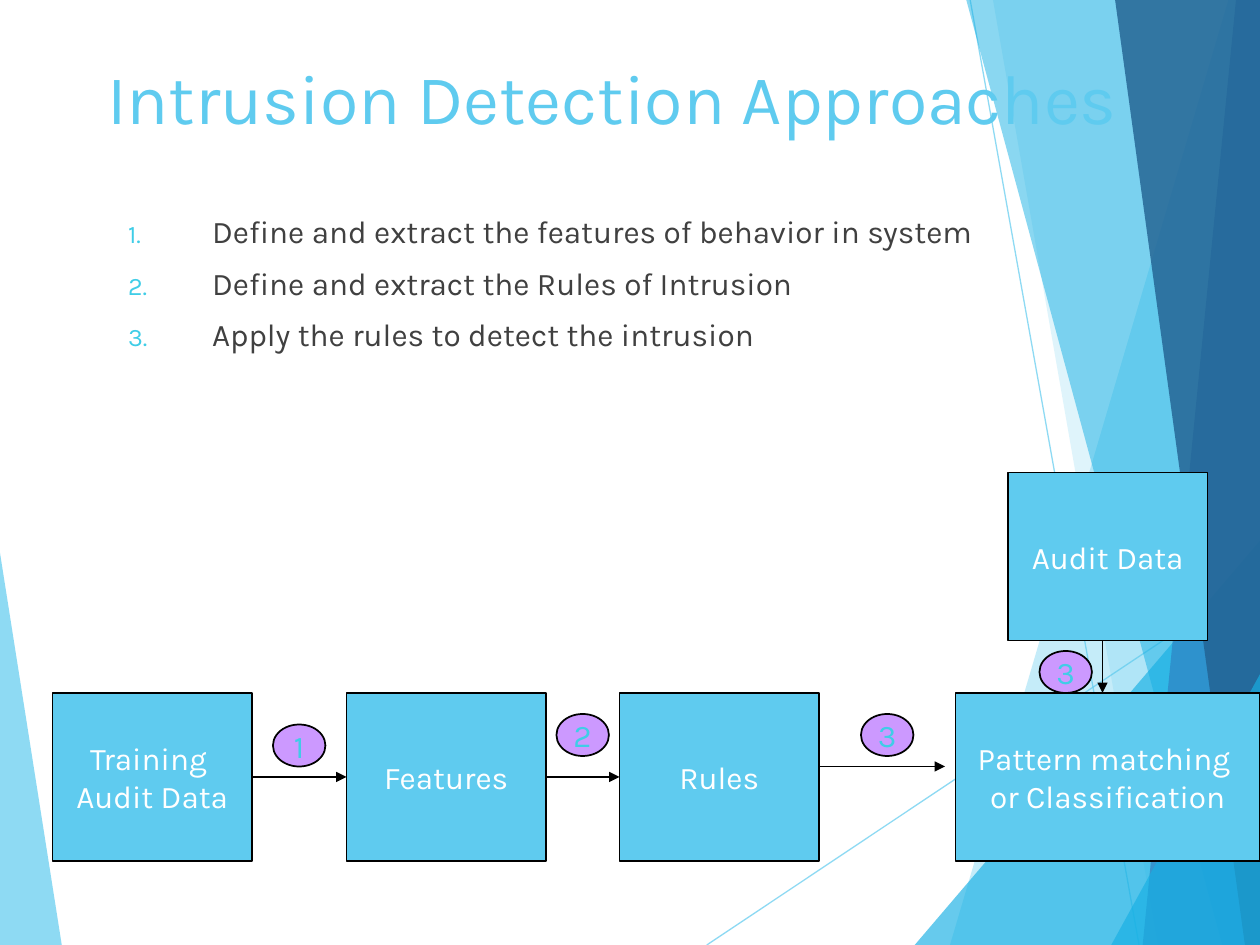
from lxml import etree
from pptx import Presentation
from pptx.dml.color import RGBColor
from pptx.enum.shapes import MSO_CONNECTOR, MSO_SHAPE
from pptx.enum.text import MSO_ANCHOR, MSO_AUTO_SIZE, PP_ALIGN
from pptx.oxml.ns import qn
from pptx.util import Pt

STRAIGHT = MSO_CONNECTOR.STRAIGHT
RECTANGLE, OVAL = MSO_SHAPE.RECTANGLE, MSO_SHAPE.OVAL
TOP, MIDDLE = MSO_ANCHOR.TOP, MSO_ANCHOR.MIDDLE
LEFT, CENTER = PP_ALIGN.LEFT, PP_ALIGN.CENTER

SKY = RGBColor(0x5F, 0xCB, 0xEF)
CYAN = RGBColor(0x17, 0xB0, 0xE4)
BLUE = RGBColor(0x2E, 0x83, 0xC3)
NAVY = RGBColor(0x23, 0x62, 0x92)
AQUA = RGBColor(0x3F, 0xCD, 0xE7)
LILAC = RGBColor(0xCC, 0x99, 0xFF)
GREY = RGBColor(0x40, 0x40, 0x40)
BLACK = RGBColor(0, 0, 0)
WHITE = RGBColor(0xFF, 0xFF, 0xFF)

FONT = "Karla"
SLIDE_W, SLIDE_H = 720, 540

TITLE = "Intrusion Detection Approaches"
STEPS = [
    "Define and extract the features of behavior in system",
    "Define and extract the Rules of Intrusion",
    "Apply the rules to detect the intrusion",
]

# Decoration from back to front: colour, opacity in percent, corners
LEFT_FACET = (SKY, 70, [(0, 316), (35.3, 540), (0, 540)])
RAYS = [((403.9, 540), (720, 329)), ((554.4, 0), (650.9, 540))]
RIGHT_FACETS = [
    (SKY, 36, [(702, 0), (542.9, 540), (720, 540), (720, 0)]),
    (SKY, 20, [(567.4, 0), (661.7, 540), (720, 540), (720, 0)]),
    (CYAN, 66, [(522.7, 540), (720, 308.9), (720, 540)]),
    (CYAN, 50, [(552.2, 0), (698.4, 540), (720, 540), (720, 0)]),
    (BLUE, 70, [(706.3, 0), (653, 540), (720, 540), (720, 0)]),
    (NAVY, 82, [(637.2, 0), (711.4, 540), (720, 540), (720, 0)]),
    (CYAN, 66, [(635, 540), (720, 385.2), (720, 540)]),
]

BOX_W, BOX_H, WIDE_W = 114, 96, 174
FLOW_TOP, AUDIT_TOP = 396, 270
# Lines of text, left, top, width
BOXES = [
    (["Training ", "Audit Data"], 30, FLOW_TOP, BOX_W),
    (["Features"], 198, FLOW_TOP, BOX_W),
    (["Rules"], 354, FLOW_TOP, BOX_W),
    (["Audit Data"], 576, AUDIT_TOP, BOX_W),
    (["Pattern matching ", "or Classification"], 546, FLOW_TOP, WIDE_W),
]
FLOW_MID = FLOW_TOP + BOX_H / 2
ARROWS = [
    ((144, FLOW_MID), (198, FLOW_MID)),
    ((312, FLOW_MID), (354, FLOW_MID)),
    ((468, 438), (540, 438)),
    ((630, AUDIT_TOP + BOX_H), (630, FLOW_TOP)),
]
BADGE_W, BADGE_H = 30, 24
BADGES = [("1", 156, 414), ("3", 594, 372), ("3", 492, 408), ("2", 318, 408)]


def write(shape, lines, size=18, color=WHITE, align=CENTER, anchor=MIDDLE,
          wrap=False, top=3.6, line_spacing=1.0, before=0):
    frame = shape.text_frame
    frame.text = "\n".join(lines)
    frame.auto_size = MSO_AUTO_SIZE.NONE
    frame.word_wrap = wrap
    frame.vertical_anchor = anchor
    frame.margin_top = Pt(top)
    for paragraph in frame.paragraphs:
        paragraph.alignment = align
        paragraph.line_spacing = line_spacing
        paragraph.space_before = Pt(before)
        font = paragraph.runs[0].font
        font.name, font.size, font.color.rgb = FONT, Pt(size), color


def place(shape, left, top, width, height):
    shape.left, shape.top = Pt(left), Pt(top)
    shape.width, shape.height = Pt(width), Pt(height)


def number(paragraph, indent, color):
    """Number the paragraph, with a coloured figure at 80% of text size."""
    props = paragraph._p.get_or_add_pPr()
    props.set("marL", str(Pt(indent)))
    props.set("indent", str(-Pt(indent)))
    bullet_color = etree.SubElement(props, qn("a:buClr"))
    etree.SubElement(bullet_color, qn("a:srgbClr"), val=str(color))
    etree.SubElement(props, qn("a:buSzPct"), val="80000")
    etree.SubElement(props, qn("a:buFont"), typeface=FONT)
    etree.SubElement(props, qn("a:buAutoNum"), type="arabicPeriod")


def set_opacity(shape, percent):
    for color in shape.element.iter(qn("a:srgbClr")):
        etree.SubElement(color, qn("a:alpha"), val=str(percent * 1000))


def add_facet(shapes, color, opacity, corners):
    points = [(Pt(x), Pt(y)) for x, y in corners]
    builder = shapes.build_freeform(*points[0])
    builder.add_line_segments(points[1:], close=True)
    facet = builder.convert_to_shape()
    facet.shadow.inherit = False
    facet.fill.solid()
    facet.fill.fore_color.rgb = color
    facet.line.fill.background()
    set_opacity(facet, opacity)


def add_line(shapes, start, end, color, width):
    line = shapes.add_connector(STRAIGHT, *(Pt(v) for v in start + end))
    line.line.color.rgb = color
    line.line.width = Pt(width)
    etree.SubElement(line.element.spPr, qn("a:effectLst"))
    return line


def add_node(shapes, kind, box, fill, lines, color):
    node = shapes.add_shape(kind, *(Pt(v) for v in box))
    node.shadow.inherit = False
    node.fill.solid()
    node.fill.fore_color.rgb = fill
    node.line.color.rgb = BLACK
    node.line.width = Pt(1)
    write(node, lines, color=color)


def main():
    deck = Presentation()
    deck.slide_width, deck.slide_height = Pt(SLIDE_W), Pt(SLIDE_H)
    slide = deck.slides.add_slide(deck.slide_layouts[1])
    shapes = slide.shapes
    title, steps = shapes.title, slide.placeholders[1]

    add_facet(shapes, *LEFT_FACET)
    for start, end in RAYS:
        set_opacity(add_line(shapes, start, end, SKY, 0.75), 70)
    for facet in RIGHT_FACETS:
        add_facet(shapes, *facet)

    # The text goes in front of the decoration
    for placeholder in (title, steps):
        placeholder.element.getparent().append(placeholder.element)
    place(title, 54, 24, 612, 90)
    write(title, [TITLE], size=40, color=SKY, align=LEFT, anchor=TOP,
          wrap=True, top=7.2)
    place(steps, 66, 120, 612, 162)
    write(steps, STEPS, color=GREY, align=LEFT, anchor=TOP, wrap=True,
          line_spacing=0.9, before=10)
    for paragraph in steps.text_frame.paragraphs:
        number(paragraph, 48, AQUA)

    for lines, left, top, width in BOXES:
        add_node(shapes, RECTANGLE, (left, top, width, BOX_H), SKY, lines, WHITE)
    for start, end in ARROWS:
        arrow = add_line(shapes, start, end, BLACK, 1)
        etree.SubElement(arrow.line._get_or_add_ln(), qn("a:tailEnd"), type="triangle")
    for figure, left, top in BADGES:
        add_node(shapes, OVAL, (left, top, BADGE_W, BADGE_H), LILAC, [figure], AQUA)

    deck.save("out.pptx")


if __name__ == "__main__":
    main()
